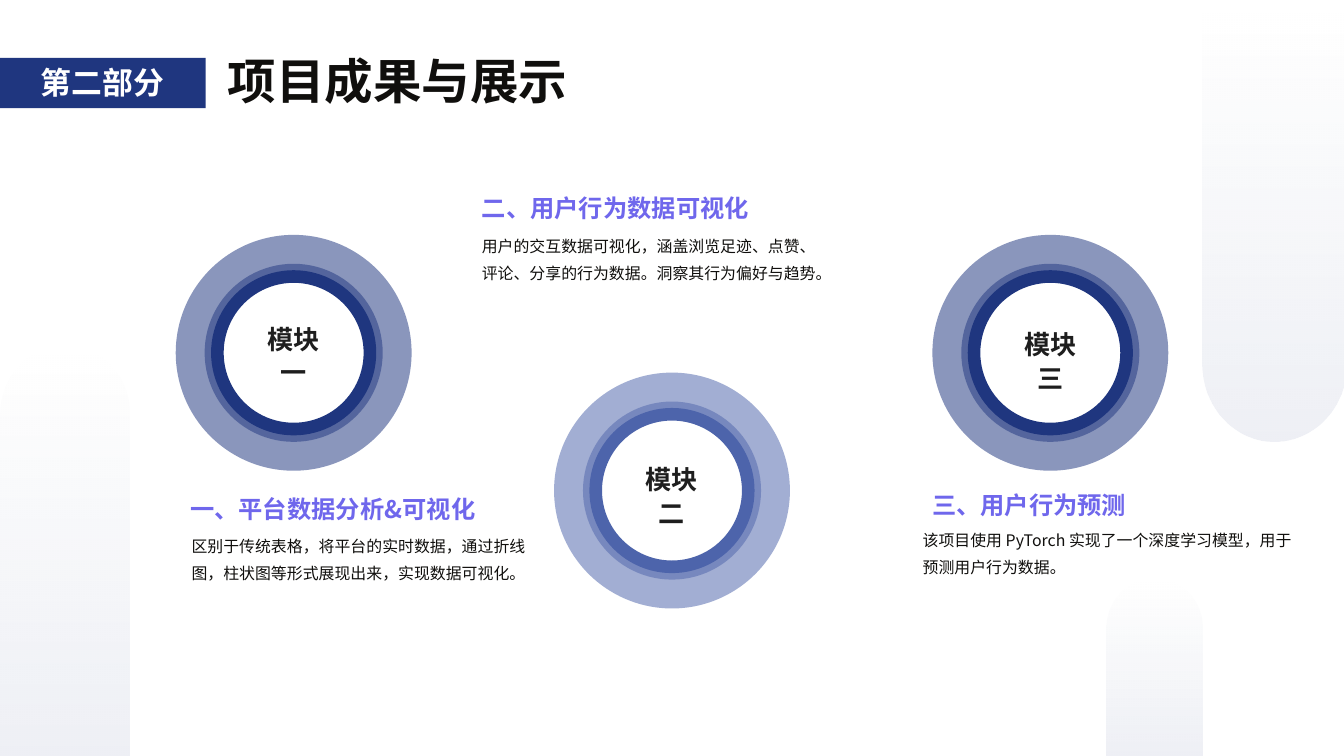
from dataclasses import dataclass
from math import cos, pi, sin

from lxml.etree import SubElement
from pptx import Presentation
from pptx.dml.color import RGBColor
from pptx.enum.shapes import MSO_SHAPE as Shape
from pptx.enum.text import MSO_ANCHOR as Anchor, MSO_AUTO_SIZE as AutoSize, PP_ALIGN as Align
from pptx.oxml.ns import qn
from pptx.util import Inches, Pt


@dataclass(frozen=True)
class Style:
    size: float
    leading: float
    color: str
    bold: bool = True


@dataclass(frozen=True)
class Theme:
    font: str = "Noto Sans CJK SC"
    navy: str = "1F367F"
    blue: str = "4D64AB"
    white: str = "FFFFFF"
    title: Style = Style(52, 62.4, "100F0D")
    section: Style = Style(33, 43.5, "FFFFFF")
    label: Style = Style(28, 35.9, "1E1E1E")
    heading: Style = Style(26, 31.2, "6F67EC")
    body: Style = Style(17, 28.6, "100F0D", False)


THEME = Theme()
RINGS = ((3.51, 52), (2.65, 50))  # diameter, opacity in percent
CORE = 2.27
LABEL_SIZE = (3.16, 0.96)

# centre, colour, label top, label lines, heading box, heading, body box, body, body alignment
MODULES = (
    ((4.37, 5.25), THEME.navy, 4.78, ("模块", "一"),
     (2.83, 7.35, 4.5, 0.43), "一、平台数据分析&可视化",
     (2.79, 7.87, 5.09, 0.77),
     "区别于传统表格，将平台的实时数据，通过折线图，柱状图等形式展现出来，实现数据可视化。",
     Align.CENTER),
    ((10, 7.3), THEME.blue, 6.87, ("模块", "二"),
     (7.17, 2.88, 4.58, 0.43), "二、用户行为数据可视化",
     (7.17, 3.41, 5.09, 1.56),
     "用户的交互数据可视化，涵盖浏览足迹、点赞、评论、分享的行为数据。洞察其行为偏好与趋势。",
     Align.LEFT),
    ((15.63, 5.25), THEME.navy, 4.86, ("模块", "三"),
     (13.87, 7.29, 3.79, 0.43), "三、用户行为预测",
     (13.73, 7.79, 5.65, 0.77),
     "该项目使用 PyTorch 实现了一个深度学习模型，用于预测用户行为数据。",
     Align.LEFT),
)

# box, whether the round end is at the bottom
PILLARS = (
    ((0, 5.12, 1.92, 6.13), False),
    ((17.89, 0.03, 2.14, 6.54), True),
    ((16.46, 8.59, 1.43, 2.66), False),
)


def rgb(color):
    return RGBColor.from_string(color)


def set_alpha(color_element, percent):
    SubElement(color_element, qn("a:alpha")).set("val", str(percent * 1000))


def write(frame, lines, style, align=Align.LEFT):
    """Fill a text frame with one paragraph per line."""
    frame.word_wrap = True
    frame.auto_size = AutoSize.SHAPE_TO_FIT_TEXT
    frame.vertical_anchor = Anchor.TOP
    frame.margin_left = frame.margin_top = frame.margin_right = frame.margin_bottom = 0
    for index, line in enumerate(lines):
        paragraph = frame.add_paragraph() if index else frame.paragraphs[0]
        paragraph.alignment = align
        paragraph.line_spacing = Pt(style.leading)
        paragraph.space_before = Pt(0)
        run = paragraph.add_run()
        run.text = line
        font = run.font
        font.size = Pt(style.size)
        font.bold = style.bold
        font.color.rgb = rgb(style.color)
        font.name = THEME.font
        SubElement(run._r.get_or_add_rPr(), qn("a:ea")).set("typeface", THEME.font)


def add_text(slide, box, lines, style, align=Align.LEFT):
    write(slide.shapes.add_textbox(*map(Inches, box)).text_frame, lines, style, align)


def add_solid(slide, preset, box, color, opacity=100):
    shape = slide.shapes.add_shape(preset, *map(Inches, box))
    shape.shadow.inherit = False
    shape.fill.solid()
    shape.fill.fore_color.rgb = rgb(color)
    shape.line.fill.background()
    if opacity < 100:
        set_alpha(shape._element.spPr.find(qn("a:solidFill"))[0], opacity)
    return shape


def add_pillar(slide, box, round_bottom, steps=48):
    """Draw a strip with one round end that fades in from top to bottom."""
    left, top, width, height = box
    radius = width / 2
    cap = 0.54 * width
    direction = 1 if round_bottom else -1
    flat = top if round_bottom else top + height
    spring = flat + direction * (height - cap)
    arc = [(left + radius - radius * cos(pi * i / steps),
            spring + direction * cap * sin(pi * i / steps)) for i in range(steps + 1)]
    points = [(Inches(x), Inches(y)) for x, y in arc + [(left + width, flat)]]
    builder = slide.shapes.build_freeform(Inches(left), Inches(flat))
    builder.add_line_segments(points, close=True)
    pillar = builder.convert_to_shape()
    pillar.shadow.inherit = False
    pillar.line.fill.background()
    pillar.fill.gradient()
    pillar.fill.gradient_angle = 270
    for stop, opacity in zip(pillar.fill.gradient_stops, (0, 8)):
        stop.color.rgb = rgb(THEME.navy)
    colors = pillar._element.spPr.find(qn("a:gradFill")).iter(qn("a:srgbClr"))
    for color, opacity in zip(list(colors), (0, 8)):
        set_alpha(color, opacity)


def add_header(slide, box):
    left, top, width, height = box
    add_solid(slide, Shape.RECTANGLE, (left, top + 0.1, 3.06, 0.75), THEME.navy)
    add_text(slide, (left + 0.2, top + 0.13, 2.65, 0.6), ["第二部分"], THEME.section, Align.CENTER)
    title = slide.shapes.title
    title.left, title.top = Inches(left + 3.39), Inches(top)
    title.width, title.height = Inches(width - 3.39), Inches(height)
    write(title.text_frame, ["项目成果与展示"], THEME.title)


def add_badge(slide, center, color, label_top, label):
    """Draw the concentric rings of a module with its label."""
    x, y = center

    def around(diameter):
        return x - diameter / 2, y - diameter / 2, diameter, diameter

    for diameter, opacity in RINGS:
        add_solid(slide, Shape.OVAL, around(diameter), color, opacity)
    core = add_solid(slide, Shape.OVAL, around(CORE), THEME.white)
    core.line.color.rgb = rgb(color)
    core.line.width = Pt(13.5)
    width, height = LABEL_SIZE
    add_text(slide, (x - width / 2, label_top, width, height), label, THEME.label, Align.CENTER)


def main():
    deck = Presentation()
    deck.slide_width, deck.slide_height = Inches(20), Inches(11.25)
    slide = deck.slides.add_slide(deck.slide_layouts[5])
    add_header(slide, (0, 0.76, 9.24, 0.86))
    for box, round_bottom in PILLARS:
        add_pillar(slide, box, round_bottom)
    for center, color, label_top, label, heading_box, heading, body_box, body, align in MODULES:
        add_badge(slide, center, color, label_top, label)
        add_text(slide, heading_box, [heading], THEME.heading)
        add_text(slide, body_box, [body], THEME.body, align)
    deck.save("out.pptx")


if __name__ == "__main__":
    main()
